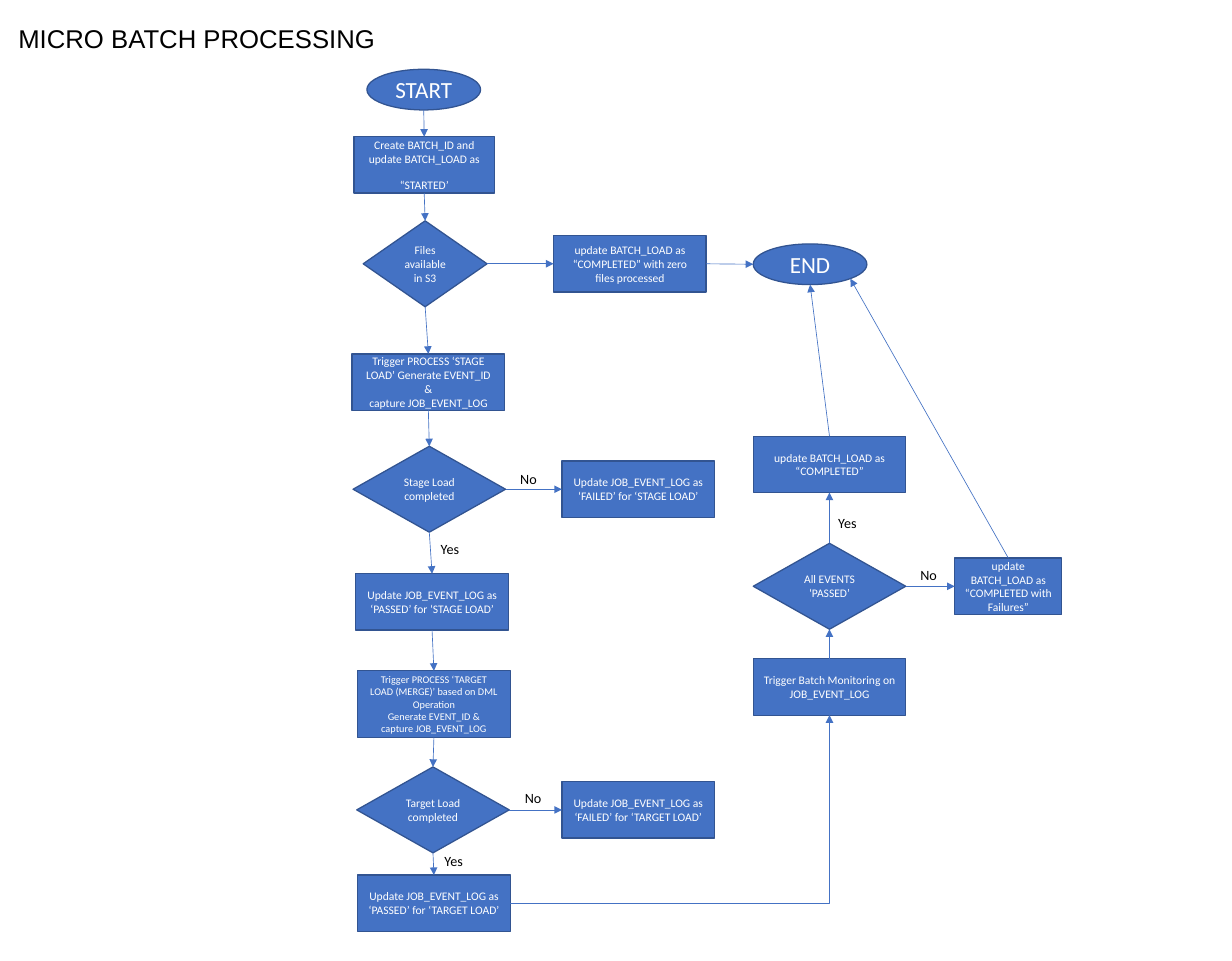
from lxml import etree
from pptx import Presentation
from pptx.dml.color import RGBColor
from pptx.enum.shapes import MSO_CONNECTOR, MSO_SHAPE
from pptx.enum.text import MSO_ANCHOR, PP_ALIGN
from pptx.oxml.ns import qn
from pptx.util import Inches, Pt

COLORS = {"fill": "4472C4", "outline": "325491", "arrow": "4472C4",
          "on_fill": "FFFFFF", "text": "000000"}
RGB = {name: RGBColor.from_string(value) for name, value in COLORS.items()}

prs = Presentation()
prs.slide_width, prs.slide_height = Inches(13.33), Inches(10.4)
slide = prs.slides.add_slide(prs.slide_layouts[6])


def write(frame, text, size, color, font="Calibri", align=PP_ALIGN.LEFT):
    """Fill a text frame: \\n starts a paragraph, \\v breaks a line."""
    for i, line in enumerate(text.split("\n")):
        paragraph = frame.paragraphs[0] if i == 0 else frame.add_paragraph()
        paragraph.alignment = align
        paragraph.text = line
        for run in paragraph.runs:
            run.font.size, run.font.name = Pt(size), font
            run.font.color.rgb = RGB[color]


# Title and branch labels: text, left, top, width, height, size, font, wrap
labels = [("MICRO BATCH PROCESSING", 0.1, 0.2, 6.26, 0.44, 20, "Arial", True)]
for text, left, top in [("No", 5.53, 5.04), ("Yes", 4.67, 5.8),
                        ("No", 5.58, 8.49), ("Yes", 4.71, 9.17),
                        ("No", 9.86, 6.08), ("Yes", 8.97, 5.52)]:
    width = 0.38 if text == "No" else 0.41
    labels.append((text, left, top, width, 0.29, 11, "Calibri", False))
for text, left, top, width, height, size, font, wrap in labels:
    box = slide.shapes.add_textbox(*map(Inches, (left, top, width, height)))
    box.text_frame.word_wrap = wrap
    write(box.text_frame, text, size, "text", font)

# Flowchart steps: preset shape, default width, height and text size
KINDS = {"terminal": (MSO_SHAPE.OVAL, 1.23, 0.44, 18),
         "step": (MSO_SHAPE.RECTANGLE, 1.65, 0.61, 9),
         "long_step": (MSO_SHAPE.RECTANGLE, 1.65, 0.72, 8),
         "decision": (MSO_SHAPE.DIAMOND, 1.65, 0.93, 9)}

# name: kind, left, top, text, optional width
STEPS = {
    "start": ("terminal", 3.97, 0.75, "START"),
    "create": ("step", 3.83, 1.48,
               "Create BATCH_ID and update BATCH_LOAD as\n“STARTED’", 1.52),
    "files": ("decision", 3.93, 2.39, "Files available in S3", 1.34),
    "no_files": ("step", 5.99, 2.55,
                 "update BATCH_LOAD as “COMPLETED” with zero files processed"),
    "end": ("terminal", 8.15, 2.64, "END"),
    "stage": ("step", 3.81, 3.83, "Trigger PROCESS ‘STAGE LOAD’ Generate "
              "EVENT_ID &\ncapture JOB_EVENT_LOG"),
    "stage_done": ("decision", 3.82, 4.83, "Stage Load completed"),
    "stage_failed": ("step", 6.08, 4.99,
                     "Update JOB_EVENT_LOG as ‘FAILED’ for ‘STAGE LOAD’"),
    "stage_passed": ("step", 3.85, 6.21,
                     "Update JOB_EVENT_LOG as ‘PASSED’ for ‘STAGE LOAD’"),
    "target": ("long_step", 3.87, 7.26,
               "Trigger PROCESS ‘TARGET\vLOAD (MERGE)’ based on DML Operation\n"
               "Generate EVENT_ID &\ncapture JOB_EVENT_LOG"),
    "target_done": ("decision", 3.86, 8.3, "Target Load completed"),
    "target_failed": ("step", 6.08, 8.46,
                      "Update JOB_EVENT_LOG as ‘FAILED’ for ‘TARGET LOAD’"),
    "target_passed": ("step", 3.87, 9.47,
                      "Update JOB_EVENT_LOG as ‘PASSED’ for ‘TARGET LOAD’"),
    "monitor": ("step", 8.15, 7.13,
                "Trigger Batch Monitoring on JOB_EVENT_LOG"),
    "all_passed": ("decision", 8.15, 5.88, "All EVENTS ‘PASSED’"),
    "completed": ("step", 8.15, 4.72, "update BATCH_LOAD as “COMPLETED”"),
    "failures": ("step", 10.33, 6.04,
                 "update BATCH_LOAD as “COMPLETED with Failures”", 1.16),
}
nodes = {}
for name, (kind, left, top, text, *custom_width) in STEPS.items():
    preset, width, height, size = KINDS[kind]
    width = custom_width[0] if custom_width else width
    node = slide.shapes.add_shape(
        preset, *map(Inches, (left, top, width, height)))
    node.shadow.inherit = False
    node.fill.solid()
    node.fill.fore_color.rgb = RGB["fill"]
    node.line.color.rgb = RGB["outline"]
    node.line.width = Pt(1)
    node.text_frame.word_wrap = True
    node.text_frame.vertical_anchor = MSO_ANCHOR.MIDDLE
    write(node.text_frame, text, size, "on_fill", align=PP_ALIGN.CENTER)
    nodes[name] = node
nodes["create"].text_frame.paragraphs[1].space_before = Pt(9)

# Sides: horizontal and vertical fraction, site on a box, site on an ellipse
SIDES = {"top": (0.5, 0, 0, 0), "left": (0, 0.5, 1, 2),
         "bottom": (0.5, 1, 2, 4), "right": (1, 0.5, 3, 6),
         "lower_right": (0.854, 0.854, None, 5)}

# Arrows: from step, side, to step, side
main_column = ["start", "create", "files", "stage", "stage_done",
               "stage_passed", "target", "target_done", "target_passed"]
arrows = [(a, "bottom", b, "top") for a, b in zip(main_column, main_column[1:])]
right_column = ["monitor", "all_passed", "completed", "end"]
arrows += [(a, "top", b, "bottom")
           for a, b in zip(right_column, right_column[1:])]
arrows += [(a, "right", b, "left") for a, b in [
    ("files", "no_files"), ("no_files", "end"),
    ("stage_done", "stage_failed"), ("target_done", "target_failed"),
    ("all_passed", "failures")]]
arrows += [("failures", "top", "end", "lower_right"),
           ("target_passed", "right", "monitor", "bottom")]

for source, source_side, target, target_side in arrows:
    points, links = [], []
    for name, side in ((source, source_side), (target, target_side)):
        node = nodes[name]
        across, down, box_site, ellipse_site = SIDES[side]
        points += [int(node.left + across * node.width),
                   int(node.top + down * node.height)]
        site = ellipse_site if STEPS[name][0] == "terminal" else box_site
        links.append({"id": str(node.shape_id), "idx": str(site)})
    bent = (source_side, target_side) == ("right", "bottom")
    arrow = slide.shapes.add_connector(
        MSO_CONNECTOR.ELBOW if bent else MSO_CONNECTOR.STRAIGHT, *points)
    arrow.line.color.rgb = RGB["arrow"]
    arrow.line.width = Pt(0.5)
    properties = arrow.element.spPr
    if bent:
        properties.find(qn("a:prstGeom")).set("prst", "bentConnector2")
    etree.SubElement(properties.find(qn("a:ln")), qn("a:tailEnd"),
                     type="triangle")
    etree.SubElement(properties, qn("a:effectLst"))
    # Glue both ends to their steps
    glue = arrow.element.find(".//" + qn("p:cNvCxnSpPr"))
    for tag, link in zip(("a:stCxn", "a:endCxn"), links):
        etree.SubElement(glue, qn(tag), link)

prs.save("out.pptx")
